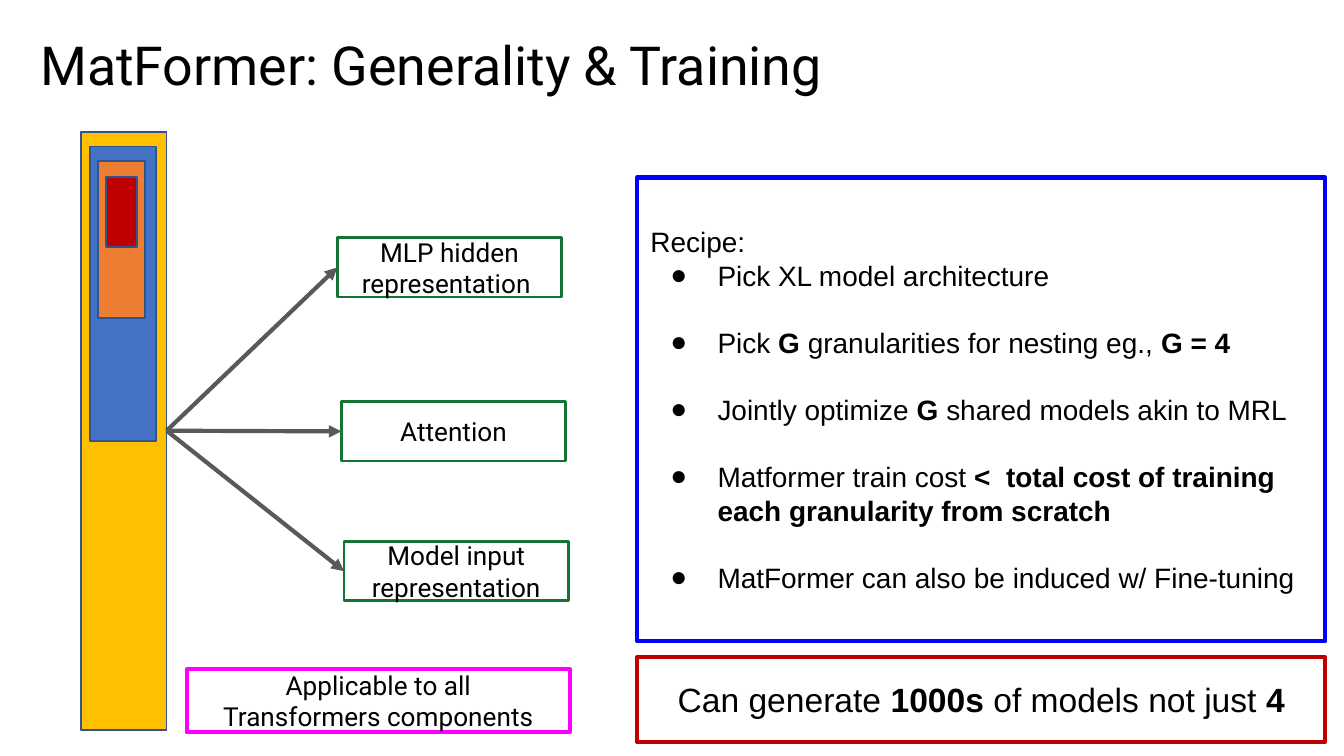
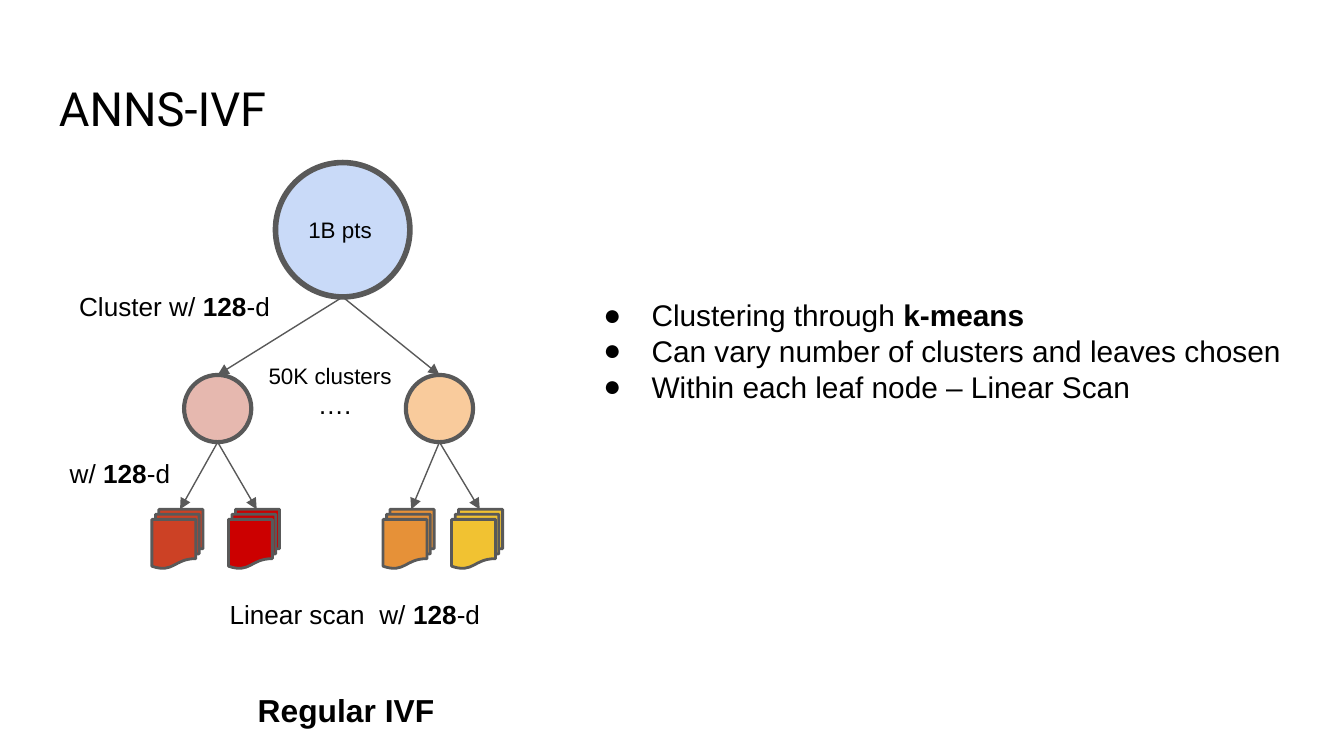
"""Build two slides: a nested model with its training recipe, and a cluster search tree."""
from dataclasses import dataclass
from typing import NamedTuple, Optional

from lxml.etree import SubElement
from pptx import Presentation
from pptx.dml.color import RGBColor
from pptx.enum.shapes import MSO_CONNECTOR as Link, MSO_SHAPE as Kind
from pptx.enum.text import MSO_ANCHOR as Anchor, PP_ALIGN as Align
from pptx.oxml.ns import qn
from pptx.util import Inches, Pt


@dataclass(frozen=True)
class Theme:
    ink: str = "000000"
    gray: str = "595959"
    navy: str = "31538F"
    green: str = "137333"
    pink: str = "FF00FF"
    blue: str = "0000FF"
    red: str = "C00000"
    gold: str = "FFC000"
    azure: str = "4472C4"
    orange: str = "ED7D31"
    sky: str = "C9DAF8"
    rose: str = "E6B8AF"
    peach: str = "F9CB9C"
    brick: str = "CC4125"
    scarlet: str = "CC0000"
    amber: str = "E69138"
    yellow: str = "F1C232"
    sans: str = "Arial"
    head: str = "Roboto"
    big: float = 28.8
    title: float = 25.2
    claim: float = 18
    name: float = 17
    list: float = 16
    step: float = 15
    label: float = 14
    small: float = 12


T = Theme()


class Box(NamedTuple):
    left: float
    top: float
    width: float
    height: float


class Para(NamedTuple):
    """Runs alternate between plain and bold, starting plain."""
    runs: tuple[str, ...]
    hang: float = 0
    gap: float = 0


class Text(NamedTuple):
    paras: tuple[Para, ...]
    size: float
    font: str = T.sans
    align: Align = Align.LEFT
    anchor: Anchor = Anchor.MIDDLE


class Shape(NamedTuple):
    kind: Kind
    box: Box
    line: str
    weight: float
    fill: Optional[str] = None
    text: Optional[Text] = None


class Node(NamedTuple):
    left: float
    fill: str
    leaves: tuple[tuple[float, str], ...]


def plain(*runs: str) -> tuple[Para, ...]:
    """Wrap runs as a single paragraph."""
    return (Para(runs),)


def paint(hue: str) -> RGBColor:
    """Turn a hex string into a colour."""
    return RGBColor.from_string(hue)


def place(box: Box) -> list[int]:
    """Give the box in slide units."""
    return [Inches(n) for n in box]


def mark(para, hang: float) -> None:
    """Add a hanging round bullet."""
    props = para._p.get_or_add_pPr()
    props.set("marL", str(Inches(0.5)))
    props.set("indent", str(-Inches(hang)))
    tint = SubElement(props, qn("a:buClr"))
    SubElement(tint, qn("a:srgbClr")).set("val", T.ink)
    SubElement(props, qn("a:buFont")).set("typeface", T.sans)
    SubElement(props, qn("a:buChar")).set("char", "●")


def write(frame, text: Text) -> None:
    """Fill a text frame run by run."""
    frame.word_wrap = True
    frame.vertical_anchor = text.anchor
    frame.margin_left = frame.margin_right = Inches(0.1)
    frame.margin_top = frame.margin_bottom = Inches(0.1)
    for i, item in enumerate(text.paras):
        para = frame.add_paragraph() if i else frame.paragraphs[0]
        para.alignment = text.align
        if item.hang:
            mark(para, item.hang)
        if item.gap:
            para.space_before = Pt(item.gap)
        for j, words in enumerate(item.runs):
            for k, part in enumerate(words.split("\n")):
                if k:
                    para.add_line_break()
                if part:
                    run = para.add_run()
                    run.text = part
                    run.font.name = text.font
                    run.font.size = Pt(text.size)
                    run.font.bold = j % 2 == 1
                    run.font.color.rgb = paint(T.ink)


def draw(slide, item: Shape):
    """Draw an outlined shape with optional fill and text."""
    shape = slide.shapes.add_shape(item.kind, *place(item.box))
    shape.shadow.inherit = False
    shape.line.color.rgb = paint(item.line)
    shape.line.width = Pt(item.weight)
    if item.fill:
        shape.fill.solid()
        shape.fill.fore_color.rgb = paint(item.fill)
    else:
        shape.fill.background()
    if item.text:
        write(shape.text_frame, item.text)
    return shape


def note(slide, box: Box, text: Text) -> None:
    """Place a text box."""
    write(slide.shapes.add_textbox(*place(box)).text_frame, text)


def head(slide, left: float, top: float, words: str, size: float) -> None:
    """Place the slide title."""
    note(slide, Box(left, top, 9.32, 0.63),
         Text(plain(words), size, T.head, anchor=Anchor.TOP))


def arrow(slide, start: tuple[float, float], end: tuple[float, float], weight: float):
    """Draw a straight arrow."""
    line = slide.shapes.add_connector(
        Link.STRAIGHT, *(Inches(n) for n in (*start, *end)))
    line.line.color.rgb = paint(T.gray)
    line.line.width = Pt(weight)
    SubElement(line.line._get_or_add_ln(), qn("a:tailEnd")).set("type", "triangle")
    SubElement(line._element.spPr, qn("a:effectLst"))
    return line


def train(slide) -> None:
    """Build the training slide."""
    head(slide, 0.2, 0.14, "MatFormer: Generality & Training", T.big)
    bars = [
        (Box(0.6, 0.98, 0.64, 4.45), T.gold),
        (Box(0.67, 1.09, 0.49, 2.19), T.azure),
        (Box(0.73, 1.2, 0.35, 1.17), T.orange),
        (Box(0.79, 1.32, 0.23, 0.52), T.red),
    ]
    outer, *_ = [draw(slide, Shape(Kind.RECTANGLE, box, T.navy, 1, fill))
                 for box, fill in bars]

    parts = [
        (2.51, 1.77, "MLP hidden representation "),
        (2.54, 2.99, "Attention"),
        (2.56, 4.03, "Model input representation"),
    ]
    for left, top, words in parts:
        part = draw(slide, Shape(
            Kind.RECTANGLE, Box(left, top, 1.67, 0.44), T.green, 1.5,
            text=Text(plain(words), T.label, T.head, Align.CENTER)))
        line = arrow(slide, (1.24, 3.21), (left, top + 0.22), 2.25)
        line.begin_connect(outer, 3)
        line.end_connect(part, 1)

    steps = [
        ("Pick XL model architecture",),
        ("Pick ", "G ", "granularities for nesting eg., ", "G = 4"),
        ("Jointly optimize ", "G ", "shared models akin to MRL"),
        ("Matformer train cost ",
         "<  total cost of training each granularity from scratch"),
        ("MatFormer can also be induced w/ Fine-tuning",),
    ]
    recipe = plain("Recipe:") + tuple(
        Para(runs, 0.35, 18 if i else 0) for i, runs in enumerate(steps))
    claim = plain("Can generate ", "1000s", " of models not just ", "4")
    scope = plain("Applicable to all\nTransformers components")
    frames = [
        (Box(1.39, 4.98, 2.85, 0.47), T.pink,
         Text(scope, T.label, T.head, Align.CENTER)),
        (Box(4.74, 1.32, 5.12, 3.45), T.blue, Text(recipe, T.step)),
        (Box(4.74, 4.89, 5.12, 0.63), T.red,
         Text(claim, T.claim, align=Align.CENTER)),
    ]
    for box, line, text in frames:
        draw(slide, Shape(Kind.RECTANGLE, box, line, 2.25, text=text))


def search(slide) -> None:
    """Build the search tree slide."""
    head(slide, 0.34, 0.49, "ANNS-IVF", T.title)
    draw(slide, Shape(Kind.OVAL, Box(2.05, 1.21, 1, 1), T.gray, 3, T.sky,
                      Text(plain("1B pts"), T.small)))
    nodes = [
        Node(1.37, T.rose, ((1.13, T.brick), (1.7, T.scarlet))),
        Node(3.02, T.peach, ((2.85, T.amber), (3.36, T.yellow))),
    ]
    for node in nodes:
        draw(slide, Shape(Kind.OVAL, Box(node.left, 2.79, 0.5, 0.5),
                          T.gray, 2.25, node.fill))
        mid = node.left + 0.25
        arrow(slide, (2.55, 2.21), (mid, 2.79), 0.75)
        for left, fill in node.leaves:
            draw(slide, Shape(Kind.FLOWCHART_MULTIDOCUMENT,
                              Box(left, 3.79, 0.38, 0.44), T.gray, 1.5, fill))
            arrow(slide, (mid, 3.29), (left + 0.21, 3.79), 0.75)

    width = ("128", "-d")
    points = [
        ("Clustering through ", "k-means"),
        ("Can vary number of clusters and leaves chosen",),
        ("Within each leaf node – Linear Scan",),
    ]
    notes = [
        (Box(0.49, 2.15, 1.88, 0.26), Text(plain("Cluster w/ ", *width), T.label)),
        (Box(0.42, 3.3, 3.28, 0.44), Text(plain("w/ ", *width), T.label)),
        (Box(1.61, 4.44, 2.34, 0.26), Text(plain("Linear scan  w/ ", *width), T.label)),
        (Box(1.9, 2.71, 1.4, 0.17), Text(plain("50K clusters"), T.small)),
        (Box(2.13, 2.88, 0.72, 0.26), Text(plain("…."), T.label, align=Align.CENTER)),
        (Box(0.85, 5.04, 3.45, 0.5),
         Text(plain("", "Regular IVF"), T.name, align=Align.CENTER, anchor=Anchor.TOP)),
        (Box(4.25, 2.11, 5.95, 1.01),
         Text(tuple(Para(runs, 0.36) for runs in points), T.list, anchor=Anchor.TOP)),
    ]
    for box, text in notes:
        note(slide, box, text)


def main() -> None:
    """Build and save the deck."""
    deck = Presentation()
    deck.slide_width, deck.slide_height = Inches(10), Inches(10 * 9 / 16)
    for build in (train, search):
        build(deck.slides.add_slide(deck.slide_layouts[6]))
    deck.save("out.pptx")


if __name__ == "__main__":
    main()
